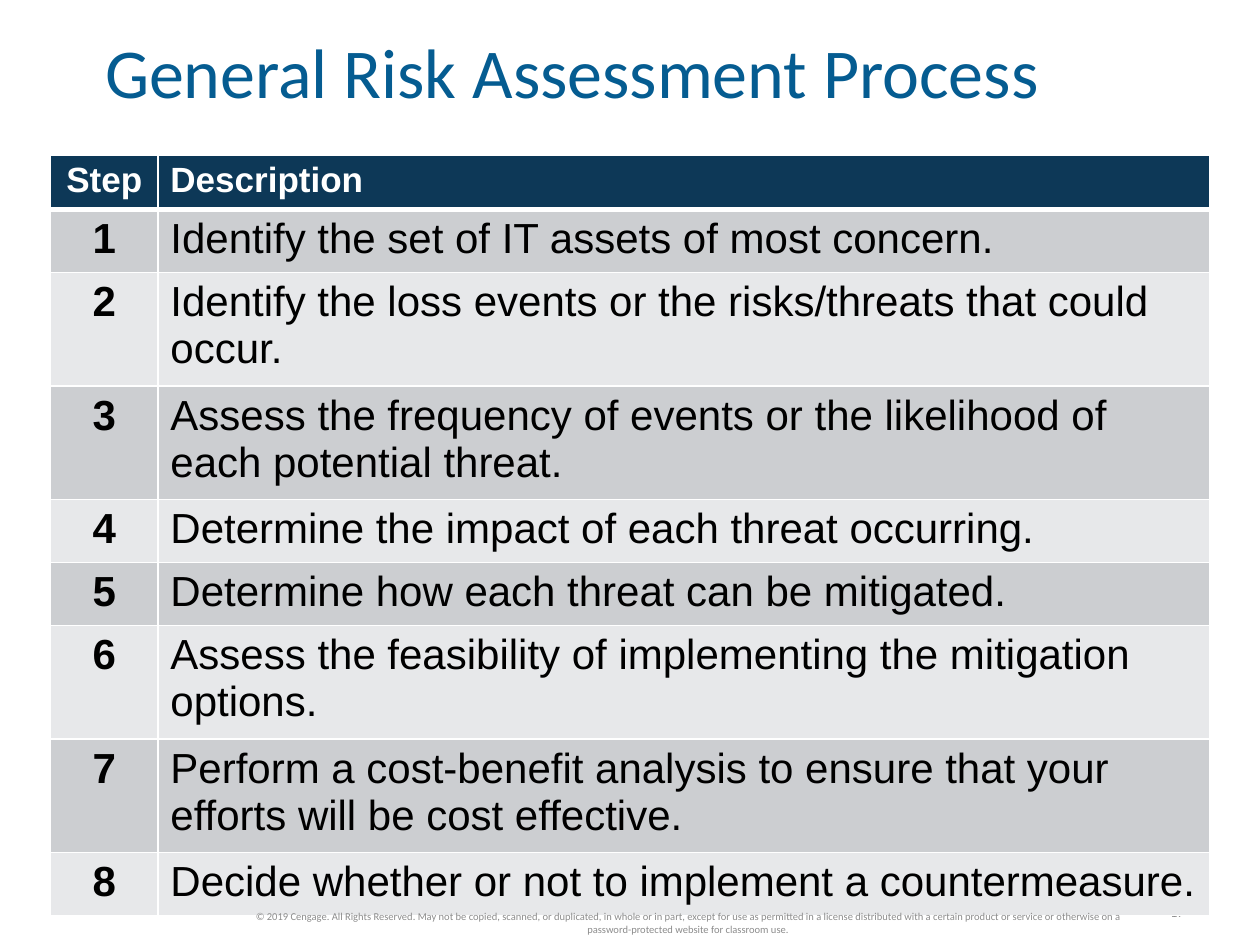
from lxml import etree
from pptx import Presentation
from pptx import util as u
from pptx.dml.color import RGBColor
from pptx.enum import text
from pptx.oxml.ns import qn

LEFT, MID, RIGHT = text.PP_ALIGN.LEFT, text.PP_ALIGN.CENTER, text.PP_ALIGN.RIGHT
NAVY, BLUE, GREY = "0D3857", "055C91", "8C8C8C"
DARK, LIGHT, WHITE, BLACK = "CCCED1", "E7E8EA", "FFFFFF", "000000"

# Each step with its count of lines
STEPS = [
    ("Identify the set of IT assets of most concern.", 1),
    ("Identify the loss events or the risks/threats that could occur.", 2),
    ("Assess the frequency of events or the likelihood of each potential threat.", 2),
    ("Determine the impact of each threat occurring.", 1),
    ("Determine how each threat can be mitigated.", 1),
    ("Assess the feasibility of implementing the mitigation options.", 2),
    ("Perform a cost-benefit analysis to ensure that your efforts will be cost effective.", 2),
    ("Decide whether or not to implement a countermeasure.", 1),
]
HEIGHTS = {1: 36, 2: 64.8}
RIGHTS = (
    "© 2019 Cengage. All Rights Reserved. May not be copied, scanned, or duplicated, "
    "in whole or in part, except for use as permitted in a license distributed with a "
    "certain product or service or otherwise on a password-protected website for "
    "classroom use."
)


def tint(code):
    return RGBColor.from_string(code)


class Page:
    def __init__(self, deck):
        self.slide = deck.slides.add_slide(deck.slide_layouts[5])
        self.head_font, self.cell_font = "Calibri", "Arial"

    def label(self, frame, words, size, face, color, align=LEFT, bold=False):
        para = frame.paragraphs[0]
        para.alignment = align
        run = para.add_run()
        run.text = words
        font = run.font
        font.size, font.name, font.bold = u.Pt(size), face, bold
        font.color.rgb = tint(color)
        return para

    def title(self, words, x, y, w, h):
        box = self.slide.shapes.title
        box.left, box.top, box.width, box.height = map(u.Pt, (x, y, w, h))
        frame = box.text_frame
        frame.margin_left = frame.margin_top = 0
        frame.margin_right = frame.margin_bottom = 0
        frame.vertical_anchor = text.MSO_ANCHOR.MIDDLE
        para = self.label(frame, words, 40, self.head_font, BLUE)
        para.line_spacing = 0.85

    def note(self, words, x, y, w, h, size, align, wrap=True):
        box = self.slide.shapes.add_textbox(*map(u.Pt, (x, y, w, h)))
        frame = box.text_frame
        frame.word_wrap = wrap
        frame.vertical_anchor = text.MSO_ANCHOR.MIDDLE
        self.label(frame, words, size, self.head_font, GREY, align)

    def edge(self, cell, side, width):
        line = etree.SubElement(cell._tc.get_or_add_tcPr(), qn("a:ln" + side),
                                w=str(u.Pt(width)))
        fill = etree.SubElement(line, qn("a:solidFill"))
        etree.SubElement(fill, qn("a:srgbClr"), val=WHITE)

    def table(self, rows, x, y, cols, highs):
        """Draw rows of texts under a dark head row, with banded fills."""
        grid = self.slide.shapes.add_table(
            len(rows), len(cols), *map(u.Pt, (x, y, sum(cols), sum(highs)))).table
        for col, width in zip(grid.columns, cols):
            col.width = u.Pt(width)
        for r, (row, high) in enumerate(zip(rows, highs)):
            grid.rows[r].height = u.Pt(high)
            head = r == 0
            back = NAVY if head else DARK if r % 2 else LIGHT
            for c, words in enumerate(row):
                cell = grid.cell(r, c)
                for side in "LRTB":
                    thick = (head and side == "B") or (r == 1 and side == "T")
                    self.edge(cell, side, 3 if thick else 1)
                cell.fill.solid()
                cell.fill.fore_color.rgb = tint(back)
                self.label(cell.text_frame, words, 20 if head else 24, self.cell_font,
                           WHITE if head else BLACK, LEFT if c else MID,
                           head or c == 0)


def main():
    deck = Presentation()
    deck.slide_width, deck.slide_height = u.Pt(720), u.Pt(540)
    page = Page(deck)
    page.title("General Risk Assessment Process", 60, 23, 632, 42)
    page.note("17", 659.5, 512.6, 24.5, 17.3, 8, RIGHT, wrap=False)
    rows = [("Step", "Description")]
    rows += [(str(n), words) for n, (words, _) in enumerate(STEPS, 1)]
    highs = [31] + [HEIGHTS[lines] for _, lines in STEPS]
    page.table(rows, 29, 88.5, (61.2, 601.2), highs)
    page.note(RIGHTS, 126, 517.7, 534.2, 19.4, 6, MID)
    deck.save("out.pptx")


if __name__ == "__main__":
    main()
